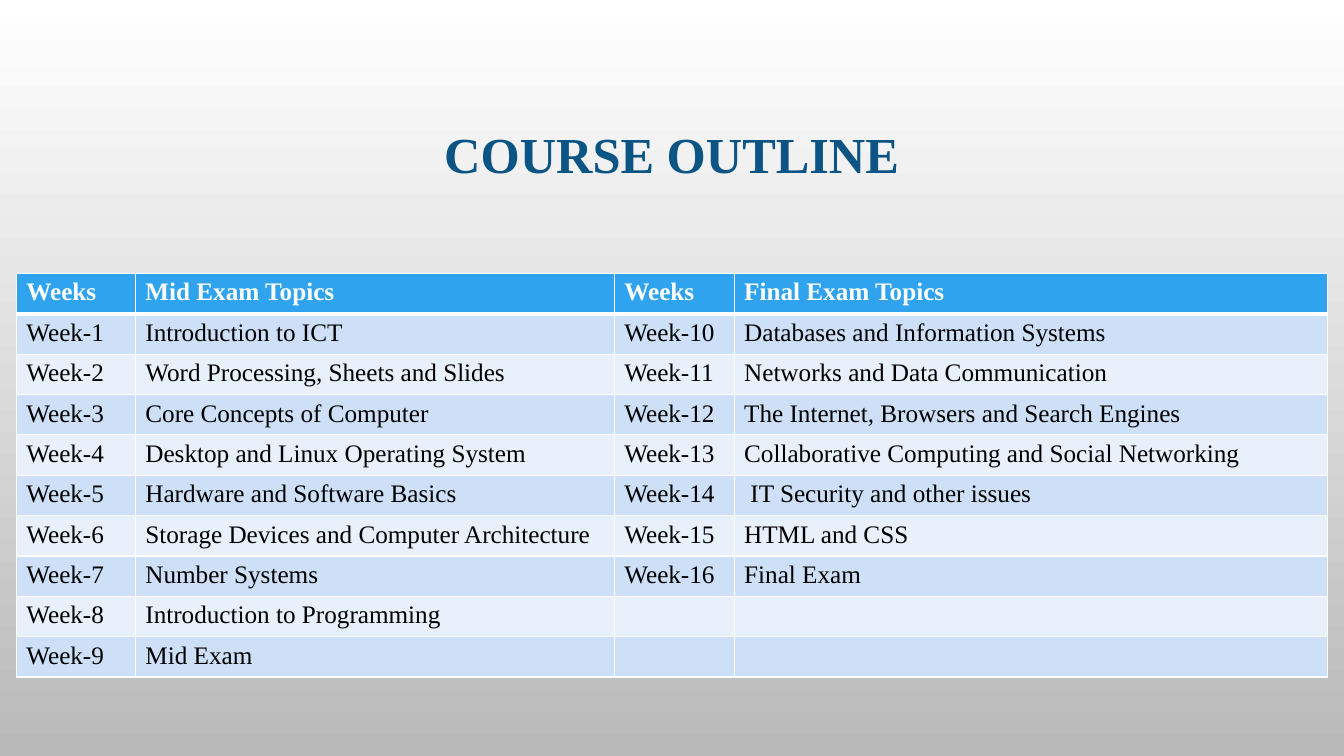
from dataclasses import dataclass

from lxml import etree
from pptx import Presentation
from pptx.dml import color
from pptx.enum import text
from pptx.oxml import ns
from pptx.util import Cm, Pt


@dataclass(frozen=True)
class Theme:
    font: str = "Times New Roman"
    title_size: int = 36
    cell_size: int = 18
    title: str = "0B5484"
    header: str = "2FA3EE"
    bands: tuple = ("CDE0F8", "E8F0FC")
    ink: str = "000000"
    white: str = "FFFFFF"
    backdrop: tuple = ("FFFFFF", "B9B9B9")
    thin: int = 1
    thick: int = 3


THEME = Theme()

COLUMN_WIDTHS = (3, 12.07, 3.02, 14.96)
ROW_HEIGHT = 0.84
HEADINGS = ("Weeks", "Mid Exam Topics", "Weeks", "Final Exam Topics")
MID_TOPICS = (
    "Introduction to ICT",
    "Word Processing, Sheets and Slides",
    "Core Concepts of Computer",
    "Desktop and Linux Operating System",
    "Hardware and Software Basics",
    "Storage Devices and Computer Architecture",
    "Number Systems",
    "Introduction to Programming",
    "Mid Exam",
)
FINAL_TOPICS = (
    "Databases and Information Systems",
    "Networks and Data Communication",
    "The Internet, Browsers and Search Engines",
    "Collaborative Computing and Social Networking",
    " IT Security and other issues",
    "HTML and CSS",
    "Final Exam",
)


def rgb(value):
    return color.RGBColor.from_string(value)


def apply_format(target, values):
    for name, value in values.items():
        setattr(target, name, value)


def write(paragraph, words, size, ink, bold):
    run = paragraph.add_run()
    run.text = words
    apply_format(run.font, {"name": THEME.font, "size": Pt(size), "bold": bold})
    run.font.color.rgb = rgb(ink)


def paint_background(slide):
    fill = slide.background.fill
    fill.gradient()
    fill.gradient_angle = 270
    for stop, shade in zip(fill.gradient_stops, THEME.backdrop):
        stop.color.rgb = rgb(shade)


def add_title(slide, words):
    box = slide.shapes.add_textbox(Cm(2.54), Cm(1.73), Cm(28.78), Cm(4.45))
    frame = box.text_frame
    apply_format(frame, {"word_wrap": True,
                         "vertical_anchor": text.MSO_ANCHOR.MIDDLE})
    paragraph = frame.paragraphs[0]
    apply_format(paragraph, {"alignment": text.PP_ALIGN.CENTER,
                             "line_spacing": 0.9})
    write(paragraph, words, THEME.title_size, THEME.title, True)


def set_borders(cell, top, bottom):
    """Borders come before the fill in the cell properties."""
    properties = cell._tc.get_or_add_tcPr()
    widths = {"lnL": THEME.thin, "lnR": THEME.thin, "lnT": top, "lnB": bottom}
    for index, (tag, width) in enumerate(widths.items()):
        line = etree.Element(ns.qn(f"a:{tag}"), w=str(Pt(width)))
        fill = etree.SubElement(line, ns.qn("a:solidFill"))
        etree.SubElement(fill, ns.qn("a:srgbClr"), val=THEME.white)
        properties.insert(index, line)


def fill_cell(cell, words, row):
    is_header = row == 0
    shade = THEME.header if is_header else THEME.bands[(row - 1) % 2]
    cell.fill.solid()
    cell.fill.fore_color.rgb = rgb(shade)
    set_borders(cell,
                top=THEME.thick if row == 1 else THEME.thin,
                bottom=THEME.thick if is_header else THEME.thin)
    if words:
        ink = THEME.white if is_header else THEME.ink
        write(cell.text_frame.paragraphs[0], words, THEME.cell_size, ink,
              is_header)


def outline_rows():
    """Pair each mid-term week with the week that follows the mid exam."""
    rows = [HEADINGS]
    weeks = len(MID_TOPICS)
    for index, topic in enumerate(MID_TOPICS):
        final = ("", "")
        if index < len(FINAL_TOPICS):
            final = (f"Week-{weeks + index + 1}", FINAL_TOPICS[index])
        rows.append((f"Week-{index + 1}", topic, *final))
    return rows


def add_outline_table(slide, rows):
    frame = slide.shapes.add_table(
        len(rows), len(COLUMN_WIDTHS), Cm(0.41), Cm(6.89),
        Cm(sum(COLUMN_WIDTHS)), Cm(ROW_HEIGHT * len(rows)))
    table = frame.table
    for column, width in zip(table.columns, COLUMN_WIDTHS):
        column.width = Cm(width)
    for row_index, values in enumerate(rows):
        table.rows[row_index].height = Cm(ROW_HEIGHT)
        for column_index, words in enumerate(values):
            fill_cell(table.cell(row_index, column_index), words, row_index)


def main():
    presentation = Presentation()
    apply_format(presentation, {"slide_width": Cm(33.87),
                                "slide_height": Cm(19.05)})
    slide = presentation.slides.add_slide(presentation.slide_layouts[6])

    # Backdrop and heading
    paint_background(slide)
    add_title(slide, "COURSE OUTLINE")

    # Weekly topics
    add_outline_table(slide, outline_rows())

    presentation.save("out.pptx")


if __name__ == "__main__":
    main()
